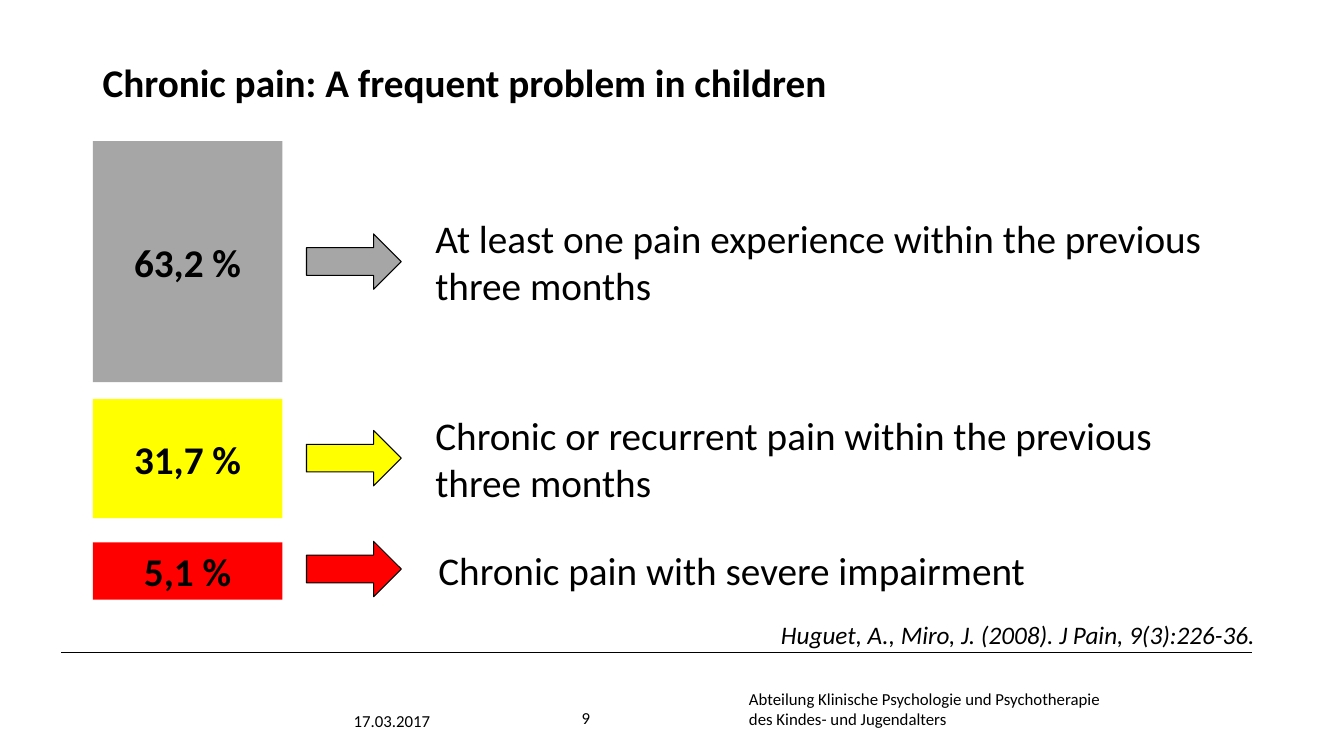
from pptx import Presentation
from pptx.enum import shapes, text
from pptx.oxml import ns
from pptx.util import Inches, Pt

COLOURS = {"ink": "000000", "any": "A6A6A6", "recurrent": "FFFF00", "severe": "FF0000"}
HEADING = {"size": Pt(28), "bold": True}
STATEMENT = {"size": Pt(28)}
CITATION = {"size": Pt(18), "italic": True}
FOOTER = {"size": Pt(12)}

# Colour, share, statement, bar (top, height), arrow top, statement (left, top, height)
LEVELS = [
    ("any", "63,2 %", "At least one pain experience within the previous three months",
     (1.4, 2.39), 2.32, (4.22, 2.08, 1.04)),
    ("recurrent", "31,7 %", "Chronic or recurrent pain within the previous three months",
     (3.96, 1.18), 4.27, (4.22, 4.03, 1.04)),
    ("severe", "5,1 %", "Chronic pain with severe impairment",
     (5.38, 0.57), 5.37, (4.25, 5.37, 0.57)),
]


def paint(colour_format, name):
    colour_format.rgb = colour_format_rgb(name)


def colour_format_rgb(name):
    from pptx.dml.color import RGBColor
    return RGBColor.from_string(COLOURS[name])


def write(frame, words, look, align=text.PP_ALIGN.LEFT, anchor=text.MSO_ANCHOR.TOP):
    frame.word_wrap = True
    frame.vertical_anchor = anchor
    frame.text = words
    paragraph = frame.paragraphs[0]
    paragraph.alignment = align
    for run in paragraph.runs:
        for attribute, value in {"name": "Calibri", **look}.items():
            setattr(run.font, attribute, value)
        paint(run.font.color, "ink")
    return paragraph


def add_words(slide, box, words, look, **placing):
    frame = slide.shapes.add_textbox(*map(Inches, box)).text_frame
    write(frame, words, look, **placing)
    return frame


def add_block(slide, kind, box, colour, outline=None):
    block = slide.shapes.add_shape(kind, *map(Inches, box))
    block.shadow.inherit = False
    block.fill.solid()
    paint(block.fill.fore_color, colour)
    if outline:
        paint(block.line.color, "ink")
        block.line.width = Pt(outline)
    else:
        block.line.fill.background()
    return block


def add_title(slide, box):
    frame = add_words(slide, box, "Chronic pain: A frequent problem in children",
                      HEADING, anchor=text.MSO_ANCHOR.MIDDLE)
    frame.paragraphs[0].line_spacing = 0.9


def add_level(slide, left, level):
    colour, share, statement, (top, height), arrow_top, (words_left, words_top, words_height) = level
    # Bar with its share
    bar = add_block(slide, shapes.MSO_SHAPE.RECTANGLE, (left, top, 1.88, height), colour)
    write(bar.text_frame, share, HEADING, text.PP_ALIGN.CENTER, text.MSO_ANCHOR.MIDDLE)
    # Arrow to the statement
    add_block(slide, shapes.MSO_SHAPE.RIGHT_ARROW, (left + 2.12, arrow_top, 0.94, 0.55),
              colour, outline=0.75)
    add_words(slide, (words_left, words_top, 8.2, words_height), statement, STATEMENT)


def add_citation(slide, box):
    frame = add_words(slide, box, "Huguet, A., Miro, J. (2008). J Pain, 9(3):226-36.",
                      CITATION, align=text.PP_ALIGN.RIGHT)
    for side in ("left", "top", "right", "bottom"):
        setattr(frame, f"margin_{side}", 0)


def add_footer(slide, left, top, width):
    # Rule above the footer
    rule = slide.shapes.add_connector(shapes.MSO_CONNECTOR.STRAIGHT, Inches(left), Inches(top),
                                      Inches(left + width), Inches(top))
    paint(rule.line.color, "ink")
    rule.line.width = Pt(0.5)
    properties = rule._element.spPr
    properties.append(properties.makeelement(ns.qn("a:effectLst"), {}))
    # Date, page number and department
    for dx, dy, box_width, height, words in (
        (2.8, 0.53, 1.99, 0.37, "17.03.2017"),
        (5.06, 0.5, 0.98, 0.37, "9"),
        (6.72, 0.31, 3.71, 0.5,
         "Abteilung Klinische Psychologie und Psychotherapie\vdes Kindes- und Jugendalters"),
    ):
        add_words(slide, (left + dx, top + dy, box_width, height), words, FOOTER)


def main():
    deck = Presentation()
    deck.slide_width, deck.slide_height = Inches(13.33), Inches(7.5)
    slide = deck.slides.add_slide(deck.slide_layouts[6])
    add_title(slide, (0.92, 0.28, 12.13, 1.12))
    for level in LEVELS:
        add_level(slide, 0.92, level)
    add_citation(slide, (0.92, 6.14, 11.53, 0.31))
    add_footer(slide, 0.61, 6.47, 11.81)
    deck.save("out.pptx")


if __name__ == "__main__":
    main()
